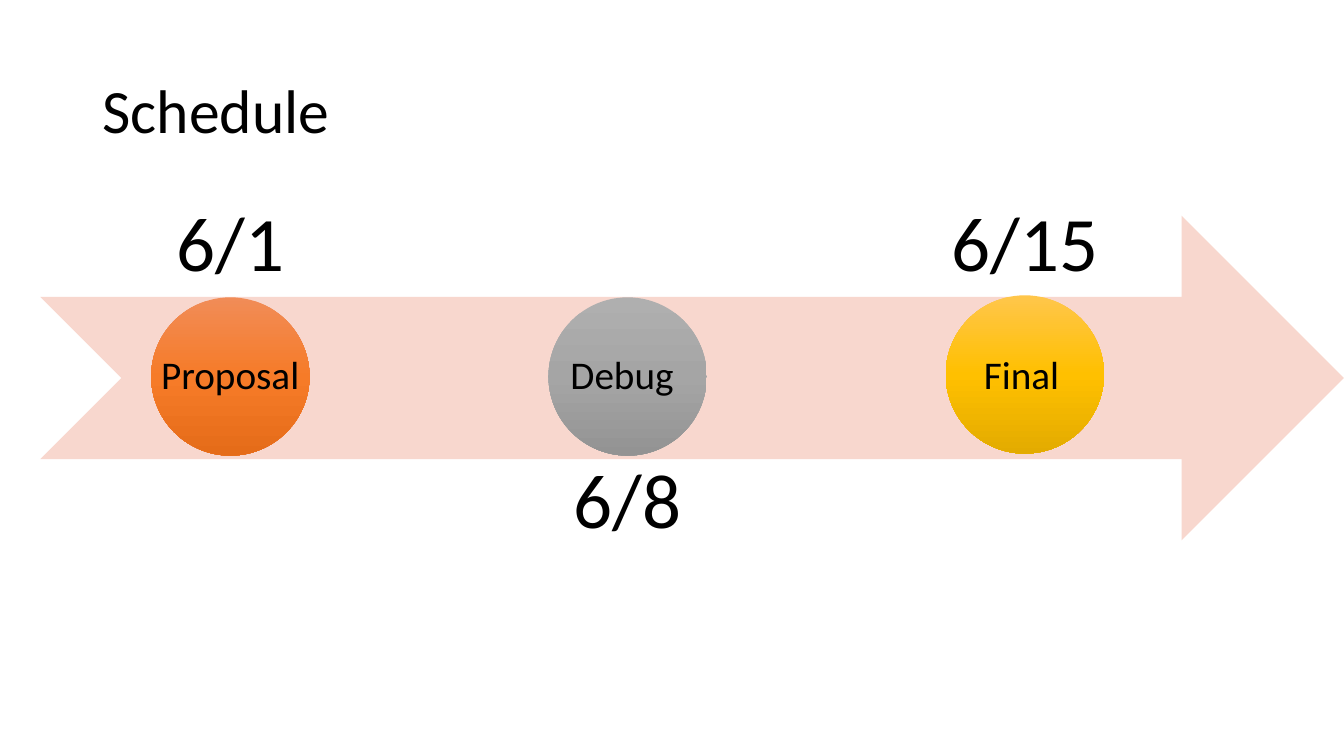
from lxml.etree import SubElement
from pptx import Presentation
from pptx.dml.color import RGBColor
from pptx.enum.shapes import MSO_SHAPE
from pptx.enum.text import MSO_ANCHOR, MSO_AUTO_SIZE, PP_ALIGN
from pptx.oxml.ns import qn
from pptx.util import Inches, Pt

COLORS = {
    "text": "000000",
    "arrow": "F8D7CE",
    "orange": ("F18C57", "F67B28", "E56C19"),
    "gray": ("AFAFAF", "A5A5A5", "939393"),
    "gold": ("FFC64B", "FFC000", "E3AB00"),
}


class SlideBuilder:
    font = "Calibri"

    def __init__(self, slide):
        self.slide = slide

    def shape(self, kind, left, top, width, height):
        shape = self.slide.shapes.add_shape(
            kind, Inches(left), Inches(top), Inches(width), Inches(height))
        shape.shadow.inherit = False
        shape.line.fill.background()
        return shape

    def arrow(self, left, top, width, height):
        arrow = self.shape(MSO_SHAPE.NOTCHED_RIGHT_ARROW, left, top, width, height)
        arrow.fill.solid()
        arrow.fill.fore_color.rgb = RGBColor.from_string(COLORS["arrow"])

    def circle(self, left, top, size, color):
        circle = self.shape(MSO_SHAPE.OVAL, left, top, size, size)
        circle.fill.gradient()
        # Three stops, shaded from top to bottom
        gradient = circle.element.spPr.find(qn("a:gradFill"))
        for child in list(gradient):
            gradient.remove(child)
        stops = SubElement(gradient, qn("a:gsLst"))
        for position, shade in zip((0, 50000, 100000), COLORS[color]):
            stop = SubElement(stops, qn("a:gs"), pos=str(position))
            SubElement(stop, qn("a:srgbClr"), val=shade)
        SubElement(gradient, qn("a:lin"), ang="5400000", scaled="0")

    def text(self, words, left, top, width, height, size, anchor=MSO_ANCHOR.TOP,
             align=PP_ALIGN.LEFT, inset=None, spacing=None, grow=False):
        box = self.slide.shapes.add_textbox(
            Inches(left), Inches(top), Inches(width), Inches(height))
        frame = box.text_frame
        frame.word_wrap = not grow
        frame.auto_size = MSO_AUTO_SIZE.SHAPE_TO_FIT_TEXT if grow else MSO_AUTO_SIZE.NONE
        frame.vertical_anchor = anchor
        if inset is not None:
            frame.margin_left = frame.margin_right = Inches(inset)
            frame.margin_top = frame.margin_bottom = Inches(inset)
        para = frame.paragraphs[0]
        para.alignment = align
        if spacing:
            para.line_spacing = spacing
        span = para.add_run()
        span.text = words
        span.font.name = self.font
        span.font.size = Pt(size)
        span.font.color.rgb = RGBColor.from_string(COLORS["text"])


def main():
    deck = Presentation()
    deck.slide_width, deck.slide_height = Inches(13.33), Inches(7.5)
    page = SlideBuilder(deck.slides.add_slide(deck.slide_layouts[6]))

    # Timeline arrow
    page.arrow(0.4, 2.14, 12.93, 3.22)

    # Milestones: date, date anchor, date top, circle top, color
    milestones = [
        ("6/1", MSO_ANCHOR.BOTTOM, 1.58, 2.95, "orange"),
        ("6/8", MSO_ANCHOR.TOP, 4.15, 2.95, "gray"),
        ("6/15", MSO_ANCHOR.BOTTOM, 1.58, 2.93, "gold"),
    ]
    date_width, circle_size, step = 3.75, 1.57, 3.94
    for index, (date, anchor, date_top, circle_top, color) in enumerate(milestones):
        left = 0.41 + index * step
        page.text(date, left, date_top, date_width, 1.71, 55, anchor,
                  PP_ALIGN.CENTER, inset=0.43, spacing=0.9)
        page.circle(left + (date_width - circle_size) / 2, circle_top,
                    circle_size, color)

    # Milestone names
    for name, left, width in [("Proposal", 1.5, 1.67), ("Debug", 5.56, 1.3),
                              ("Final", 9.66, 1.03)]:
        page.text(name, left, 3.43, width, 0.57, 28, grow=True)

    # Title
    page.text("Schedule", 0.92, 0.4, 11.5, 1.45, 44, MSO_ANCHOR.MIDDLE, spacing=0.9)

    deck.save("out.pptx")


if __name__ == "__main__":
    main()
